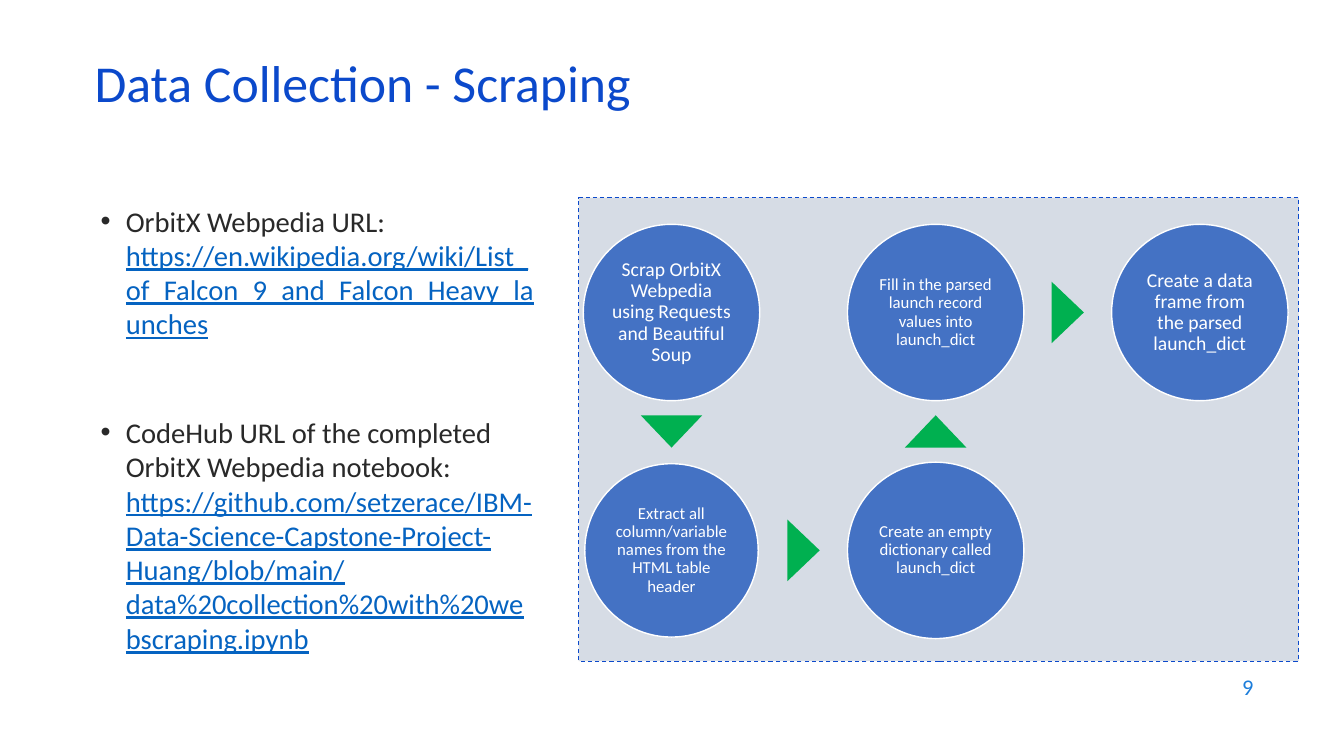
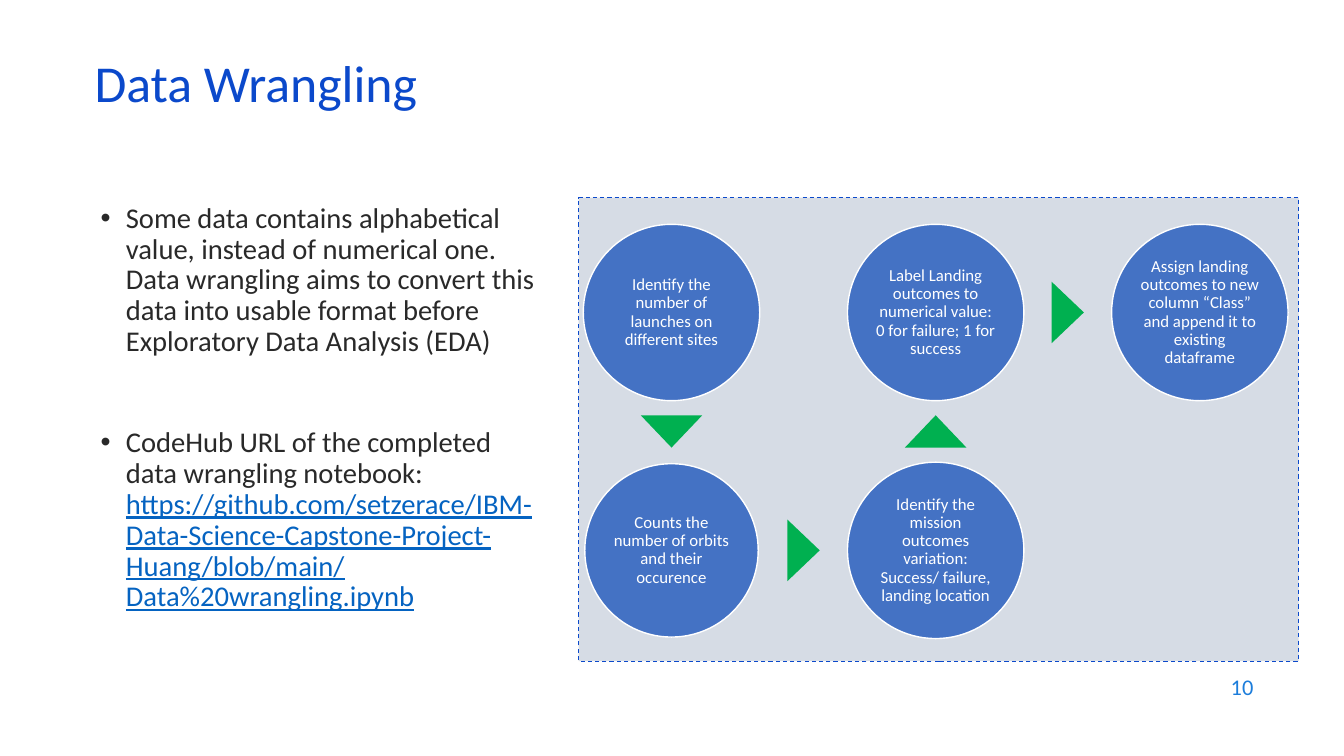
from itertools import pairwise

from pptx import Presentation
from pptx.dml.color import RGBColor
from pptx.enum.dml import MSO_LINE_DASH_STYLE as DASH
from pptx.enum.shapes import MSO_SHAPE as SHAPE
from pptx.enum.text import MSO_ANCHOR as ANCHOR, PP_ALIGN as ALIGN
from pptx.oxml.ns import qn
from pptx.util import Inches, Pt

FONT = "Calibri"
TITLE_BLUE = RGBColor(0x0B, 0x49, 0xCB)
NUMBER_BLUE = RGBColor(0x1C, 0x7D, 0xDB)
LINK_BLUE = RGBColor(0x05, 0x63, 0xC1)
BODY_GRAY = RGBColor(0x29, 0x29, 0x29)
PANEL_GRAY = RGBColor(0xD6, 0xDC, 0xE5)
CIRCLE_BLUE = RGBColor(0x44, 0x72, 0xC4)
ARROW_GREEN = RGBColor(0x00, 0xB0, 0x50)
WHITE = RGBColor(0xFF, 0xFF, 0xFF)

REPOSITORY = "https://github.com/setzerace/IBM-Data-Science-Capstone-Project-Huang/blob/main/"

SLIDES = [
    {
        "number": 9,
        "title": "Data Collection - Scraping",
        "line_spacing": 1.0,
        "bullet_gap": 53,
        "bullets": [
            ("OrbitX Webpedia URL: ",
             "https://en.wikipedia.org/wiki/List_of_Falcon_9_and_Falcon_Heavy_launches"),
            ("CodeHub URL of the completed OrbitX Webpedia notebook: ",
             REPOSITORY + "data%20collection%20with%20webscraping.ipynb"),
        ],
        "steps": [
            ("Scrap OrbitX Webpedia using Requests and Beautiful Soup", 14),
            ("Extract all column/variable names from the HTML table header", 12),
            ("Create an empty dictionary called launch_dict", 12),
            ("Fill in the parsed launch record values into launch_dict", 12),
            ("Create a data frame from the parsed launch_dict", 14),
        ],
    },
    {
        "number": 10,
        "title": "Data Wrangling",
        "line_spacing": 0.9,
        "bullet_gap": 50,
        "bullets": [
            ("Some data contains alphabetical value, instead of numerical one. "
             "Data wrangling aims to convert this data into usable format before "
             "Exploratory Data Analysis (EDA)", ""),
            ("CodeHub URL of the completed data wrangling notebook: ",
             REPOSITORY + "Data%20wrangling.ipynb"),
        ],
        "steps": [
            ("Identify the number of launches on different sites", 12),
            ("Counts the number of orbits and their occurence", 12),
            ("Identify the mission outcomes variation: Success/ failure, landing location", 12),
            ("Label Landing outcomes to numerical value: 0 for failure; 1 for success", 12),
            ("Assign landing outcomes to new column “Class” and append it to existing dataframe", 12),
        ],
    },
]

FLOW_CELLS = [(0, 0), (0, 1), (1, 1), (1, 0), (2, 0)]
FIRST_CENTER = (6.66, 3.1)
COLUMN_STEP, ROW_STEP = 2.62, 2.36
DIAMETERS = [1.75, 1.72, 1.75, 1.75, 1.75]
ARROW_WIDTH, ARROW_HEIGHT = 0.61, 0.32
ARROW_ROTATIONS = {(0, 1): 180, (1, 0): 90, (0, -1): 0}


def set_font(font, size, color):
    font.name = FONT
    font.size = Pt(size)
    font.color.rgb = color


def add_text_box(slide, box, anchor=ANCHOR.TOP):
    frame = slide.shapes.add_textbox(*map(Inches, box)).text_frame
    frame.word_wrap = True
    frame.vertical_anchor = anchor
    return frame


def add_filled_shape(slide, kind, box, fill):
    shape = slide.shapes.add_shape(kind, *map(Inches, box))
    shape.shadow.inherit = False
    shape.fill.solid()
    shape.fill.fore_color.rgb = fill
    return shape


def add_centered(slide, kind, center, width, height, fill):
    box = (center[0] - width / 2, center[1] - height / 2, width, height)
    return add_filled_shape(slide, kind, box, fill)


def set_line(shape, color, width):
    shape.line.color.rgb = color
    shape.line.width = Pt(width)


def add_frame(slide, title, number):
    paragraph = add_text_box(slide, (0.84, 0.59, 11.5, 0.6), ANCHOR.MIDDLE).paragraphs[0]
    paragraph.text = title
    paragraph.line_spacing = 0.7
    set_font(paragraph.font, 37, TITLE_BLUE)

    paragraph = add_text_box(slide, (9.53, 6.59, 3, 0.44), ANCHOR.MIDDLE).paragraphs[0]
    paragraph.text = str(number)
    paragraph.alignment = ALIGN.RIGHT
    set_font(paragraph.font, 16, NUMBER_BLUE)

    panel = add_filled_shape(slide, SHAPE.RECTANGLE, (5.74, 1.96, 7.14, 4.6), PANEL_GRAY)
    set_line(panel, TITLE_BLUE, 0.75)
    panel.line.dash_style = DASH.DASH


def add_bullet_mark(paragraph):
    properties = paragraph._p.get_or_add_pPr()
    properties.set("marL", str(Inches(0.25)))
    properties.set("indent", str(-Inches(0.25)))
    for tag, key, value in [("a:buFont", "typeface", "Arial"), ("a:buChar", "char", "•")]:
        element = properties.makeelement(qn(tag), {key: value})
        properties.append(element)


def add_bullets(slide, bullets, line_spacing, gap):
    frame = add_text_box(slide, (0.9, 1.97, 4.53, 4.62))
    for index, (text, link) in enumerate(bullets):
        paragraph = frame.add_paragraph() if index else frame.paragraphs[0]
        add_bullet_mark(paragraph)
        paragraph.line_spacing = line_spacing
        if index:
            paragraph.space_before = Pt(gap)
        run = paragraph.add_run()
        run.text = text
        set_font(run.font, 20.4, BODY_GRAY)
        if link:
            run = paragraph.add_run()
            run.text = link
            set_font(run.font, 20.4, LINK_BLUE)
            run.font.underline = True


def add_step(slide, center, diameter, text, size):
    circle = add_centered(slide, SHAPE.OVAL, center, diameter, diameter, CIRCLE_BLUE)
    set_line(circle, WHITE, 1)
    frame = circle.text_frame
    frame.word_wrap = True
    frame.vertical_anchor = ANCHOR.MIDDLE
    frame.margin_left = frame.margin_right = Inches(0.02)
    frame.margin_top = frame.margin_bottom = Inches(0.02)
    paragraph = frame.paragraphs[0]
    paragraph.text = text
    paragraph.alignment = ALIGN.CENTER
    paragraph.line_spacing = 0.9
    set_font(paragraph.font, size, WHITE)


def cell_center(column, row):
    return FIRST_CENTER[0] + column * COLUMN_STEP, FIRST_CENTER[1] + row * ROW_STEP


def add_flow(slide, steps):
    for cell, diameter, (text, size) in zip(FLOW_CELLS, DIAMETERS, steps):
        add_step(slide, cell_center(*cell), diameter, text, size)
    for start, end in pairwise(FLOW_CELLS):
        middle = cell_center((start[0] + end[0]) / 2, (start[1] + end[1]) / 2)
        arrow = add_centered(slide, SHAPE.ISOSCELES_TRIANGLE, middle,
                             ARROW_WIDTH, ARROW_HEIGHT, ARROW_GREEN)
        arrow.line.fill.background()
        arrow.rotation = ARROW_ROTATIONS[end[0] - start[0], end[1] - start[1]]


def main():
    presentation = Presentation()
    presentation.slide_width = Inches(13.33)
    presentation.slide_height = Inches(7.5)
    for content in SLIDES:
        slide = presentation.slides.add_slide(presentation.slide_layouts[6])
        add_frame(slide, content["title"], content["number"])
        add_bullets(slide, content["bullets"], content["line_spacing"], content["bullet_gap"])
        add_flow(slide, content["steps"])
    presentation.save("out.pptx")


if __name__ == "__main__":
    main()
